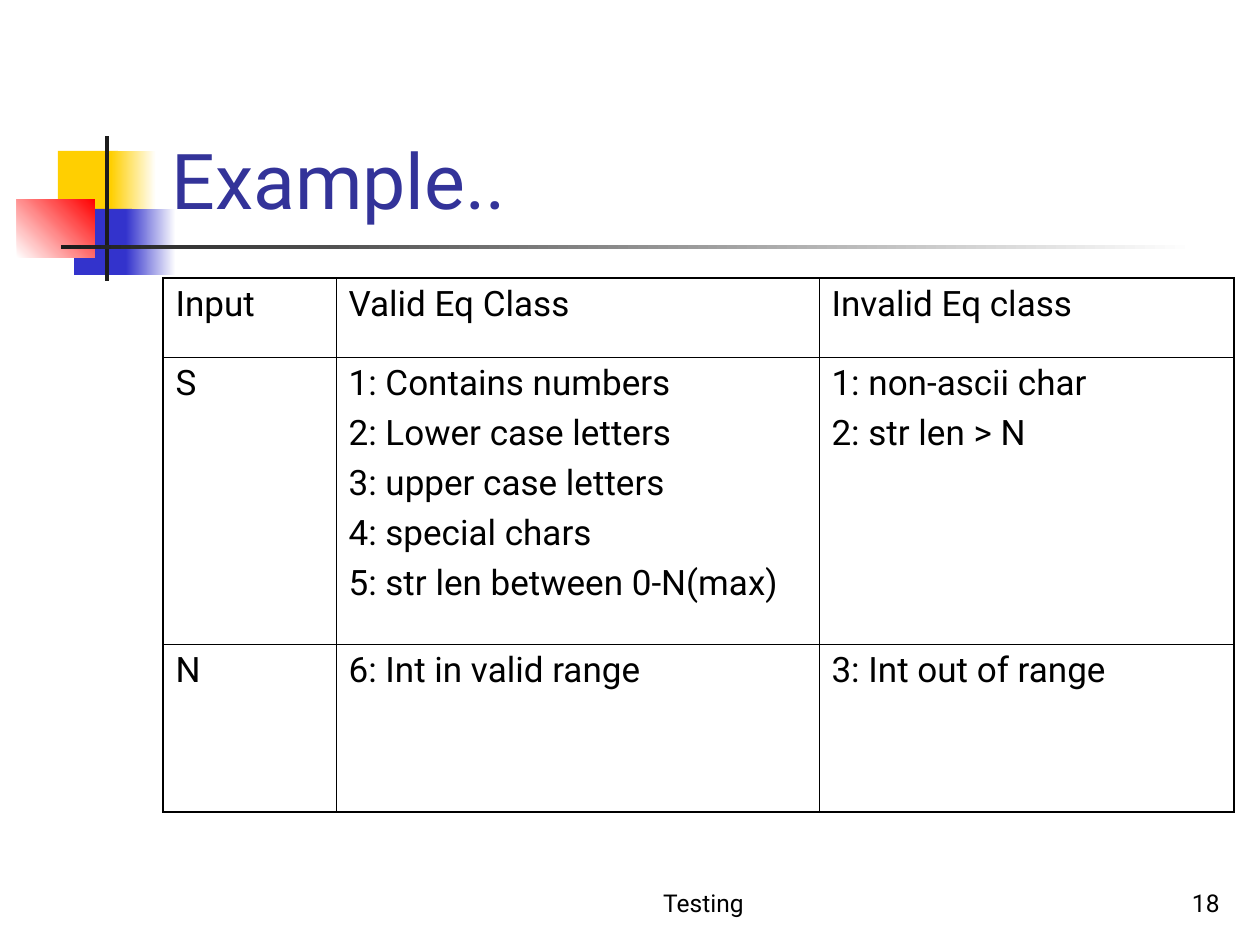
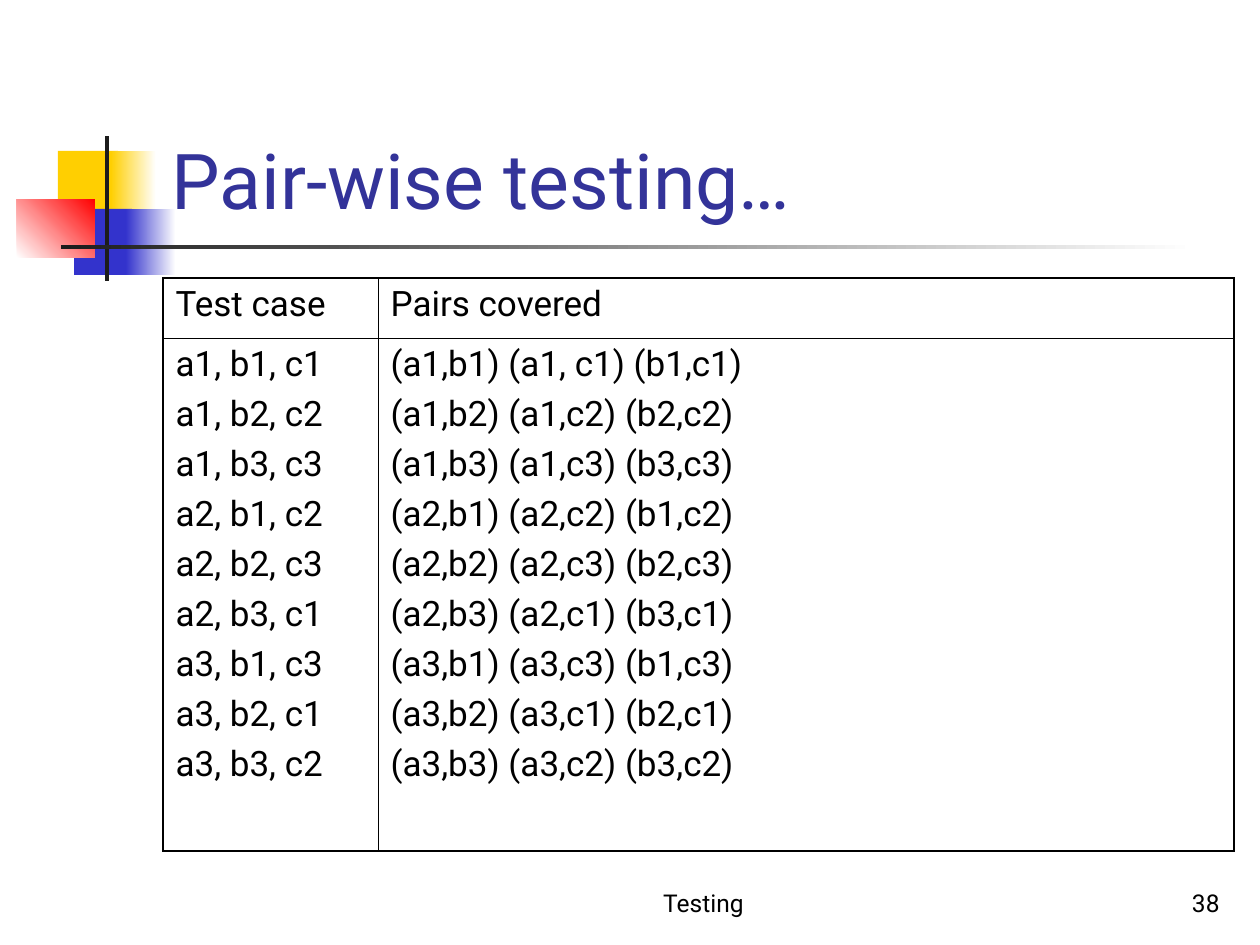
from dataclasses import dataclass
from typing import Optional

from lxml import etree
from pptx import Presentation
from pptx.dml.color import RGBColor
from pptx.enum.shapes import MSO_SHAPE
from pptx.enum.text import MSO_ANCHOR, PP_ALIGN
from pptx.oxml.ns import qn
from pptx.util import Emu, Pt

RECTANGLE = MSO_SHAPE.RECTANGLE
LEFT, CENTER, RIGHT = PP_ALIGN.LEFT, PP_ALIGN.CENTER, PP_ALIGN.RIGHT
BOTTOM = MSO_ANCHOR.BOTTOM
EMU_PER_PX = 914400 / 126


@dataclass(frozen=True)
class Theme:
    font: str = "Roboto"
    paper: str = "FFFFFF"
    ink: str = "000000"
    title: str = "333399"
    yellow: str = "FFCF01"
    blue: str = "3333CC"
    red: str = "FF0000"
    rule: str = "1C1C1C"
    title_pt: int = 44
    table_pt: int = 20
    footer_pt: int = 14
    line_gap_pt: int = 5
    outer_border_pt: float = 1.08
    inner_border_pt: float = 0.45


THEME = Theme()


@dataclass(frozen=True)
class Box:
    left: int
    top: int
    width: int
    height: int

    def emu(self) -> tuple[Emu, ...]:
        return tuple(map(px, (self.left, self.top, self.width, self.height)))


@dataclass(frozen=True)
class Block:
    box: Box
    color: str
    fade_to: Optional[str] = None
    angle: int = 0


@dataclass(frozen=True)
class Label:
    box: Box
    size: int
    color: str
    align: PP_ALIGN


@dataclass(frozen=True)
class TableSlide:
    title: str
    number: int
    columns: list[int]
    rows: list[int]
    cells: list[list[list[str]]]


MOTIF = [
    Block(Box(58, 151, 60, 66), THEME.yellow),
    Block(Box(111, 151, 45, 66), THEME.yellow, THEME.paper),
    Block(Box(74, 209, 58, 66), THEME.blue),
    Block(Box(126, 209, 50, 66), THEME.blue, THEME.paper),
    Block(Box(17, 199, 78, 59), THEME.paper, THEME.red, 45),
    Block(Box(105, 136, 4, 145), THEME.rule),
    Block(Box(61, 245, 1134, 4), THEME.rule, THEME.paper),
]
TITLE = Label(Box(159, 29, 1074, 202), THEME.title_pt, THEME.title, LEFT)
FOOTER = Label(Box(504, 861, 399, 63), THEME.footer_pt, THEME.ink, CENTER)
NUMBER = Label(Box(970, 861, 262, 63), THEME.footer_pt, THEME.ink, RIGHT)
TABLE_LEFT, TABLE_TOP = 163, 278

SLIDES = [
    TableSlide(
        "Example..", 18, [173, 483, 415], [79, 287, 168],
        [
            [["Input"], ["Valid Eq Class"], ["Invalid Eq class"]],
            [
                ["S"],
                [
                    "1: Contains numbers",
                    "2: Lower case letters",
                    "3: upper case letters",
                    "4: special chars",
                    "5: str len between 0-N(max)",
                ],
                ["1: non-ascii char", "2: str len > N"],
            ],
            [["N"], ["6: Int in valid range"], ["3: Int out of range"]],
        ],
    ),
    TableSlide(
        "Pair-wise testing…", 38, [215, 856], [60, 513],
        [
            [["Test case"], ["Pairs covered"]],
            [
                [
                    "a1, b1, c1", "a1, b2, c2", "a1, b3, c3",
                    "a2, b1, c2", "a2, b2, c3", "a2, b3, c1",
                    "a3, b1, c3", "a3, b2, c1", "a3, b3, c2",
                ],
                [
                    "(a1,b1) (a1, c1) (b1,c1)",
                    "(a1,b2) (a1,c2) (b2,c2)",
                    "(a1,b3) (a1,c3) (b3,c3)",
                    "(a2,b1) (a2,c2) (b1,c2)",
                    "(a2,b2) (a2,c3) (b2,c3)",
                    "(a2,b3) (a2,c1) (b3,c1)",
                    "(a3,b1) (a3,c3) (b1,c3)",
                    "(a3,b2) (a3,c1) (b2,c1)",
                    "(a3,b3) (a3,c2) (b3,c2)",
                ],
            ],
        ],
    ),
]


def px(length: int) -> Emu:
    return Emu(round(length * EMU_PER_PX))


def rgb(color: str) -> RGBColor:
    return RGBColor.from_string(color)


def write_lines(frame, lines: list[str], size: int, color: str, align: PP_ALIGN) -> None:
    for index, line in enumerate(lines):
        paragraph = frame.add_paragraph() if index else frame.paragraphs[0]
        paragraph.alignment = align
        if index:
            paragraph.space_before = Pt(THEME.line_gap_pt)
        run = paragraph.add_run()
        run.text = line
        run.font.name = THEME.font
        run.font.size = Pt(size)
        run.font.color.rgb = rgb(color)


def draw_block(slide, block: Block) -> None:
    shape = slide.shapes.add_shape(RECTANGLE, *block.box.emu())
    shape.shadow.inherit = False
    shape.line.fill.background()
    if block.fade_to is None:
        shape.fill.solid()
        shape.fill.fore_color.rgb = rgb(block.color)
        return
    shape.fill.gradient()
    shape.fill.gradient_angle = block.angle
    for stop, color in zip(shape.fill.gradient_stops, (block.color, block.fade_to)):
        stop.color.rgb = rgb(color)


def draw_label(slide, label: Label, text: str) -> None:
    frame = slide.shapes.add_textbox(*label.box.emu()).text_frame
    frame.word_wrap = True
    frame.vertical_anchor = BOTTOM
    write_lines(frame, [text], label.size, label.color, label.align)


def set_borders(cell, outer_sides: dict[str, bool]) -> None:
    properties = cell._tc.get_or_add_tcPr()
    for index, (side, is_outer) in enumerate(outer_sides.items()):
        width = THEME.outer_border_pt if is_outer else THEME.inner_border_pt
        border = etree.Element(qn(f"a:ln{side}"), w=str(Pt(width)))
        fill = etree.SubElement(border, qn("a:solidFill"))
        etree.SubElement(fill, qn("a:srgbClr"), val=THEME.ink)
        properties.insert(index, border)


def draw_table(slide, content: TableSlide) -> None:
    columns, rows = content.columns, content.rows
    box = Box(TABLE_LEFT, TABLE_TOP, sum(columns), sum(rows))
    table = slide.shapes.add_table(len(rows), len(columns), *box.emu()).table
    table.first_row = table.horz_banding = False
    for column, width in zip(table.columns, columns):
        column.width = px(width)
    for row, height in zip(table.rows, rows):
        row.height = px(height)
    for r, row_cells in enumerate(content.cells):
        for c, lines in enumerate(row_cells):
            cell = table.cell(r, c)
            cell.fill.background()
            set_borders(cell, {
                "L": c == 0,
                "R": c == len(columns) - 1,
                "T": r == 0,
                "B": r == len(rows) - 1,
            })
            write_lines(cell.text_frame, lines, THEME.table_pt, THEME.ink, LEFT)


def main() -> None:
    deck = Presentation()
    deck.slide_width, deck.slide_height = px(1260), px(945)
    blank = deck.slide_layouts[6]
    for content in SLIDES:
        slide = deck.slides.add_slide(blank)
        slide.background.fill.solid()
        slide.background.fill.fore_color.rgb = rgb(THEME.paper)
        for block in MOTIF:
            draw_block(slide, block)
        draw_label(slide, FOOTER, "Testing")
        draw_label(slide, NUMBER, str(content.number))
        draw_label(slide, TITLE, content.title)
        draw_table(slide, content)
    deck.save("out.pptx")


if __name__ == "__main__":
    main()
